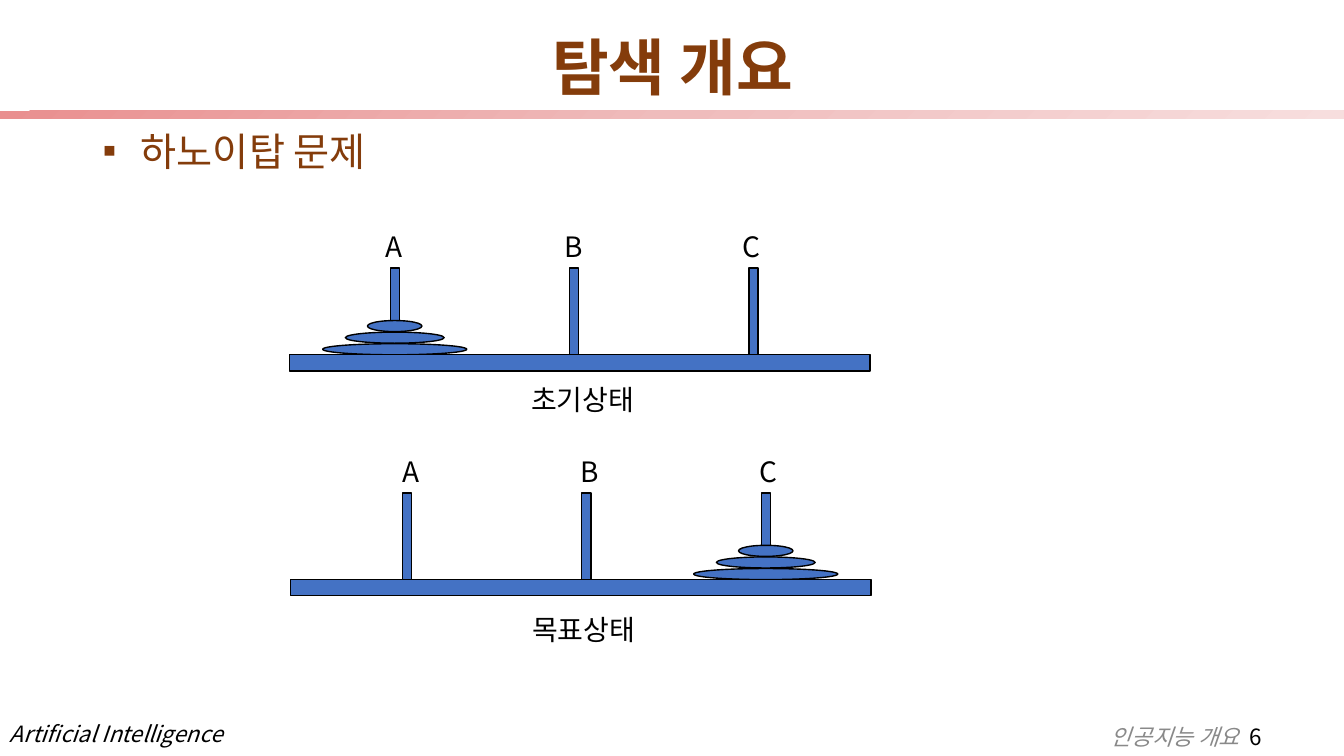
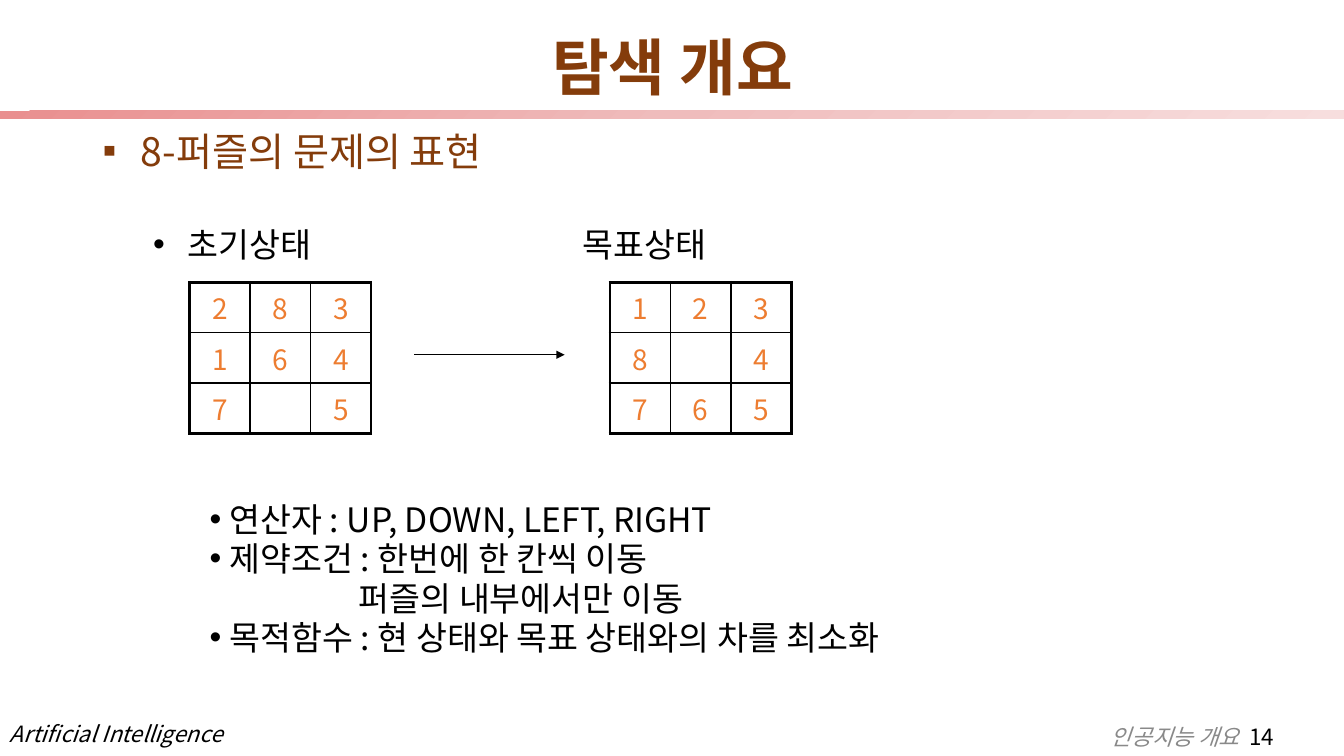
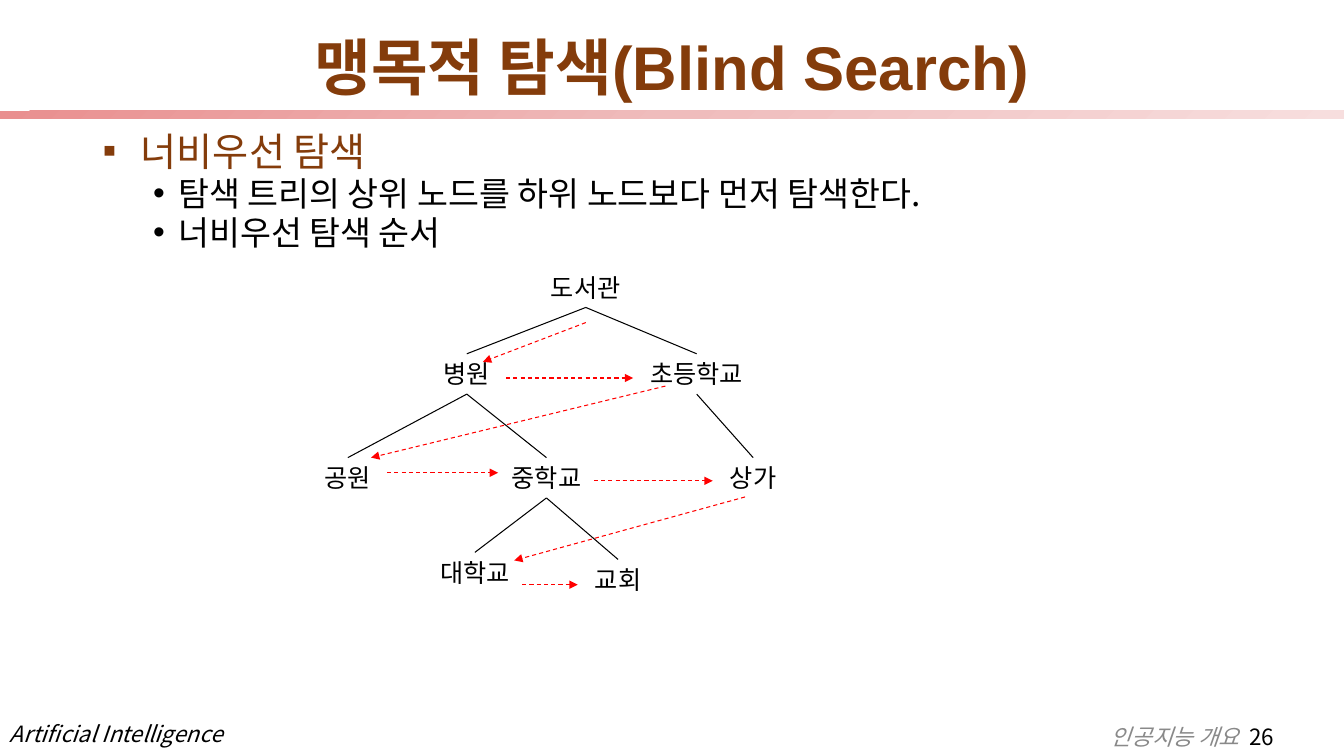
import pptx
import pptx.dml.color
import pptx.enum.dml
import pptx.enum.shapes
import pptx.enum.text
import pptx.oxml
import pptx.oxml.ns
import pptx.util

Inches = pptx.util.Inches
Pt = pptx.util.Pt
RGBColor = pptx.dml.color.RGBColor
SHAPES = pptx.enum.shapes.MSO_SHAPE
ALIGN = pptx.enum.text.PP_ALIGN
ANCHOR = pptx.enum.text.MSO_ANCHOR

BLACK = RGBColor(0x00, 0x00, 0x00)
BROWN = RGBColor(0x84, 0x3C, 0x0B)
BLUE = RGBColor(0x44, 0x72, 0xC4)
ORANGE = RGBColor(0xED, 0x7D, 0x31)
RED = RGBColor(0xFF, 0x00, 0x00)
GRAY = RGBColor(0x89, 0x89, 0x89)
BAND_STOPS = (
    (0, RGBColor(0xE9, 0x8F, 0x8F)),
    (50, RGBColor(0xEF, 0xBC, 0xBC)),
    (100, RGBColor(0xF7, 0xDE, 0xDE)),
)
BODY_FONT = "Noto Sans CJK KR"
TITLE_FONT = "Arial"
NAMESPACE = pptx.oxml.ns.nsdecls("a")

HEADING = {"size": 28, "color": BROWN, "bullet": "▪", "margin": 0.38,
           "indent": -0.38, "line_spacing": 0.8, "space_before": Pt(10)}
ITEM = {"size": 24, "bullet": "•", "margin": 0.75, "indent": -0.25,
        "line_spacing": 0.8, "space_before": Pt(5)}


class Deck:
    def __init__(self):
        self.presentation = pptx.Presentation()
        self.presentation.slide_width = Inches(13.33)
        self.presentation.slide_height = Inches(7.5)
        self.slide = None

    def start(self, title, number):
        self.slide = self.presentation.slides.add_slide(
            self.presentation.slide_layouts[6])
        footer = {"size": 16, "italic": True, "line_spacing": 0.9}
        self.text(0, 7.13, 2.32, 0.34, [("Artificial Intelligence", footer)],
                  grow=True, wrap=False)
        self.band()
        frame = self.text(10.92, 7.16, 2.12, 0.34,
                          [("인공지능 개요  ", {**footer, "color": GRAY, "font": TITLE_FONT})],
                          grow=True, wrap=False)
        self.run(frame.paragraphs[0], str(number), {"size": 16})
        self.text(0.92, 0.4, 11.5, 0.6,
                  [(title, {"size": 44, "bold": True, "color": BROWN, "font": TITLE_FONT,
                            "alignment": ALIGN.CENTER, "line_spacing": 0.9})],
                  anchor=ANCHOR.MIDDLE)

    def band(self):
        shape = self.shape(SHAPES.RECTANGLE, 0, 1.1, 13.33, 0.08, None)
        stops = "".join(
            f'<a:gs pos="{position * 1000}"><a:srgbClr val="{color}"/></a:gs>'
            for position, color in BAND_STOPS)
        gradient = pptx.oxml.parse_xml(
            f'<a:gradFill {NAMESPACE} rotWithShape="1"><a:gsLst>{stops}</a:gsLst>'
            '<a:lin ang="2700000" scaled="1"/></a:gradFill>')
        shape._element.spPr.insert(2, gradient)

    def run(self, paragraph, words, style):
        run = paragraph.add_run()
        run.text = words
        values = {"size": Pt(style["size"]), "name": style.get("font", BODY_FONT),
                  "bold": style.get("bold", False), "italic": style.get("italic", False)}
        for name, value in values.items():
            setattr(run.font, name, value)
        run.font.color.rgb = style.get("color", BLACK)
        run.font._element.find(pptx.oxml.ns.qn("a:latin")).addnext(
            pptx.oxml.parse_xml(f'<a:ea {NAMESPACE} typeface="{BODY_FONT}"/>'))

    def compose(self, paragraph, words, style):
        for name in ("alignment", "line_spacing", "space_before"):
            if name in style:
                setattr(paragraph, name, style[name])
        properties = paragraph._element.get_or_add_pPr()
        if "margin" in style:
            properties.set("marL", str(Inches(style["margin"])))
            properties.set("indent", str(Inches(style["indent"])))
        if style.get("bullet"):
            for tag in (f'<a:buFont {NAMESPACE} typeface="Arial"/>',
                        f'<a:buChar {NAMESPACE} char="{style["bullet"]}"/>'):
                properties.append(pptx.oxml.parse_xml(tag))
        self.run(paragraph, words, style)

    def text(self, left, top, width, height, paragraphs, anchor=ANCHOR.TOP,
             grow=False, wrap=True):
        box = self.slide.shapes.add_textbox(
            Inches(left), Inches(top), Inches(width), Inches(height))
        frame = box.text_frame
        sizing = pptx.enum.text.MSO_AUTO_SIZE
        values = {"word_wrap": wrap, "vertical_anchor": anchor,
                  "auto_size": sizing.SHAPE_TO_FIT_TEXT if grow else sizing.NONE}
        for name, value in values.items():
            setattr(frame, name, value)
        for index, (words, style) in enumerate(paragraphs):
            paragraph = frame.add_paragraph() if index else frame.paragraphs[0]
            self.compose(paragraph, words, style)
        return frame

    def body(self, heading, items=()):
        self.text(0.92, 1.3, 11.5, 5.84,
                  [(heading, HEADING)] + [(item, ITEM) for item in items])

    def label(self, left, top, width, words):
        self.text(left, top, width, 0.44, [(words, {"size": 20})], grow=True, wrap=False)

    def shape(self, kind, left, top, width, height, fill=BLUE):
        shape = self.slide.shapes.add_shape(
            kind, Inches(left), Inches(top), Inches(width), Inches(height))
        shape.shadow.inherit = False
        if fill is None:
            shape.line.fill.background()
            return shape
        shape.fill.solid()
        shape.fill.fore_color.rgb = fill
        shape.line.color.rgb = BLACK
        shape.line.width = Pt(1)
        return shape

    def line(self, start, end, color=BLACK, arrow=False, dashed=False):
        connector = self.slide.shapes.add_connector(
            pptx.enum.shapes.MSO_CONNECTOR.STRAIGHT,
            *[Inches(value) for value in (*start, *end)])
        connector.line.color.rgb = color
        connector.line.width = Pt(0.75)
        if dashed:
            connector.line.dash_style = pptx.enum.dml.MSO_LINE.DASH
        if arrow:
            connector.line._get_or_add_ln().append(
                pptx.oxml.parse_xml(f'<a:tailEnd {NAMESPACE} type="triangle"/>'))
        connector._element.spPr.append(
            pptx.oxml.parse_xml(f"<a:effectLst {NAMESPACE}/>"))

    def puzzle(self, left, top, rows):
        count = len(rows)
        table = self.slide.shapes.add_table(
            count, count, Inches(left), Inches(top),
            Inches(0.6 * count), Inches(0.5 * count)).table
        table.first_row = table.horz_banding = False
        for row_index, row in enumerate(rows):
            table.rows[row_index].height = Inches(0.5)
            table.columns[row_index].width = Inches(0.6)
            for column_index, digit in enumerate(row):
                cell = table.cell(row_index, column_index)
                cell.fill.background()
                outer = {"L": column_index == 0, "R": column_index == count - 1,
                         "T": row_index == 0, "B": row_index == count - 1}
                self.borders(cell, outer)
                if digit.strip():
                    self.compose(cell.text_frame.paragraphs[0], digit,
                                 {"size": 20, "color": ORANGE, "alignment": ALIGN.CENTER})

    def borders(self, cell, outer):
        properties = cell._tc.get_or_add_tcPr()
        for index, (side, thick) in enumerate(outer.items()):
            width = Pt(2.25 if thick else 1)
            properties.insert(index, pptx.oxml.parse_xml(
                f'<a:ln{side} {NAMESPACE} w="{width}"><a:solidFill>'
                f'<a:srgbClr val="{BLACK}"/></a:solidFill></a:ln{side}>'))

    def hanoi(self, base_left, base_top, first_peg, label_left, loaded_peg,
              caption, caption_top):
        peg_pitch, disk_pitch = 1.78, 0.115
        for index, name in enumerate("ABC"):
            self.shape(SHAPES.RECTANGLE, first_peg + index * peg_pitch,
                       base_top - 0.86, 0.09, 0.86)
            self.label(label_left + index * 1.77, base_top - 1.29, 0.39, name)
        center = first_peg + loaded_peg * peg_pitch + 0.045
        for index, width in enumerate((1.43, 0.98, 0.54)):
            self.shape(SHAPES.OVAL, center - width / 2,
                       base_top - 0.11 - index * disk_pitch, width, 0.11)
        self.shape(SHAPES.RECTANGLE, base_left, base_top, 5.76, 0.16)
        self.label(base_left + 2.3, caption_top, 1.33, caption)

    def tree(self, nodes, edges, visits):
        width, height = 1.26, 0.4
        for name, (center, top) in nodes.items():
            self.text(center - width / 2, top, width, height,
                      [(name, {"size": 18, "alignment": ALIGN.CENTER})], grow=True)
        for parent, child in edges:
            center, top = nodes[parent]
            self.line((center, top + height), nodes[child])
        for start, end in visits:
            self.line(start, end, RED, arrow=True, dashed=True)


def main():
    deck = Deck()

    deck.start("탐색 개요", 6)
    deck.body("하노이탑 문제")
    deck.hanoi(2.87, 3.52, 3.87, 3.73, 0, "초기상태", 3.75)
    deck.hanoi(2.88, 5.75, 3.99, 3.89, 2, "목표상태", 6.03)

    deck.start("탐색 개요", 14)
    deck.body("8-퍼즐의 문제의 표현")
    deck.text(0.92, 2.25, 4, 0.5, [("초기상태", {**ITEM, "margin": 0.84, "indent": -0.34})])
    deck.text(5.68, 2.25, 3, 0.5, [("목표상태", {"size": 24, "line_spacing": 0.8})])
    deck.puzzle(1.88, 2.8, ("283", "164", "7 5"))
    deck.puzzle(6.05, 2.8, ("123", "8 4", "765"))
    deck.line((4.11, 3.52), (5.6, 3.52), arrow=True)
    rule = {**ITEM, "margin": 0.2, "indent": -0.2}
    continued = {**rule, "bullet": None, "margin": 1.48, "indent": 0}
    deck.text(1.98, 4.98, 9, 1.8, [
        ("연산자 : UP, DOWN, LEFT, RIGHT", rule),
        ("제약조건 : 한번에 한 칸씩 이동", rule),
        ("퍼즐의 내부에서만 이동", continued),
        ("목적함수 : 현 상태와 목표 상태와의 차를 최소화", rule),
    ])

    deck.start("맹목적 탐색(Blind Search)", 26)
    deck.body("너비우선 탐색", ("탐색 트리의 상위 노드를 하위 노드보다 먼저 탐색한다.",
                          "너비우선 탐색 순서"))
    deck.tree(
        {"도서관": (5.81, 2.65), "병원": (4.63, 3.51), "초등학교": (6.91, 3.51),
         "공원": (3.45, 4.54), "중학교": (5.42, 4.54), "상가": (7.47, 4.54),
         "대학교": (4.71, 5.48), "교회": (6.13, 5.55)},
        (("도서관", "병원"), ("도서관", "초등학교"), ("병원", "공원"), ("병원", "중학교"),
         ("중학교", "대학교"), ("중학교", "교회"), ("초등학교", "상가")),
        (((5.81, 3.2), (4.79, 3.59)), ((5.02, 3.75), (6.28, 3.75)),
         ((6.6, 3.83), (3.68, 4.54)), ((3.84, 4.69), (4.94, 4.69)),
         ((5.89, 4.77), (7.07, 4.77)), ((7.39, 4.93), (5.1, 5.56)),
         ((5.18, 5.8), (5.73, 5.8))))

    deck.presentation.save("out.pptx")


if __name__ == "__main__":
    main()
